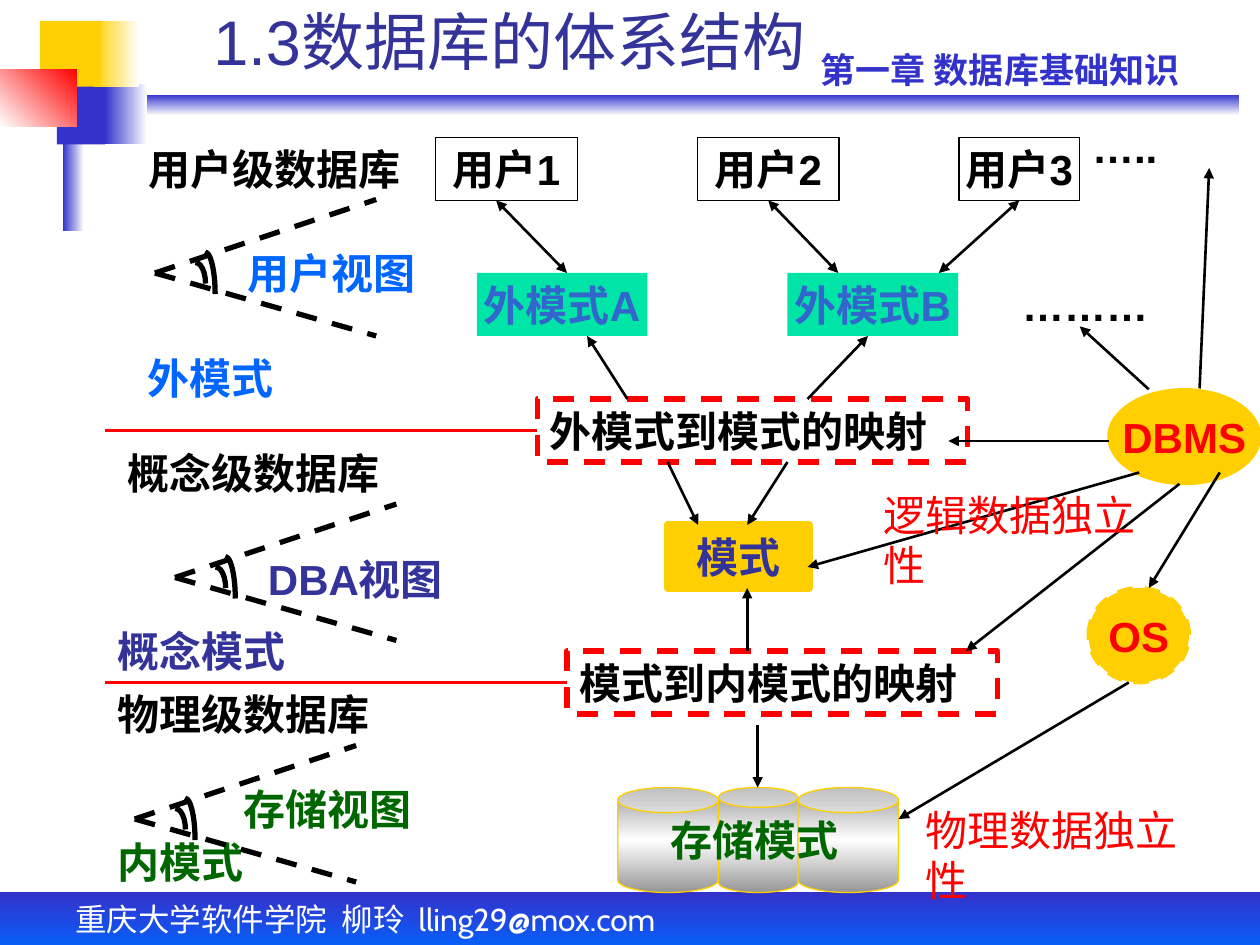
"""Build the slide on the layered architecture of a database system."""
from lxml.etree import SubElement
from pptx import Presentation
from pptx.dml.color import RGBColor as RGB
from pptx.enum.dml import MSO_LINE_DASH_STYLE as DASH
from pptx.enum.shapes import MSO_CONNECTOR as CON, MSO_SHAPE as SHAPE
from pptx.enum.text import MSO_ANCHOR as ANCHOR, PP_ALIGN as ALIGN
from pptx.oxml.ns import qn
from pptx.util import Pt

BLACK = RGB(0, 0, 0)
WHITE = RGB(255, 255, 255)
RED = RGB(255, 0, 0)
GOLD = RGB(0xFF, 0xCF, 0x01)
BLUE = RGB(0x33, 0x33, 0xCC)
NAVY = RGB(0x33, 0x33, 0x99)
SKY = RGB(0, 0x66, 0xFF)
STEEL = RGB(0x33, 0x66, 0xCC)
MINT = RGB(0, 0xE4, 0xA8)
GREEN = RGB(0, 0x66, 0)
GRAY = RGB(0x96, 0x96, 0x96)

BOLD = {"name": "Arial", "size": Pt(24), "bold": True}
LIGHT = {"name": "Cabin", "size": Pt(24), "bold": False}


class Board:
    def __init__(self, deck):
        self.area = deck.slides.add_slide(deck.slide_layouts[6]).shapes

    def stroke(self, line, ink, width, dash=False):
        line.color.rgb = ink
        line.width = Pt(width)
        if dash:
            line.dash_style = DASH.DASH

    def blend(self, shape, inks, angle):
        shape.fill.gradient()
        shape.fill.gradient_angle = -angle % 360
        stops = shape._element.spPr.find(qn("a:gradFill")).find(qn("a:gsLst"))
        for stop in list(stops):
            stops.remove(stop)
        for i, ink in enumerate(inks):
            stop = SubElement(stops, qn("a:gs"), pos=str(i * 100000 // (len(inks) - 1)))
            SubElement(stop, qn("a:srgbClr"), val=str(ink))

    def shape(self, kind, place, fill=None, line=None, angle=90):
        shape = self.area.add_shape(kind, *map(Pt, place))
        shape.shadow.inherit = False
        if isinstance(fill, list):
            self.blend(shape, fill, angle)
        elif fill is None:
            shape.fill.background()
        else:
            shape.fill.solid()
            shape.fill.fore_color.rgb = fill
        if line:
            self.stroke(shape.line, *line)
        else:
            shape.line.fill.background()
        return shape

    def label(self, shape, text, ink, style=BOLD, align=ALIGN.LEFT,
              anchor=ANCHOR.TOP, wrap=True):
        frame = shape.text_frame
        frame.word_wrap = wrap
        frame.vertical_anchor = anchor
        part = frame.paragraphs[0]
        part.alignment = align
        run = part.add_run()
        run.text = text
        for key, value in style.items():
            setattr(run.font, key, value)
        run.font.color.rgb = ink

    def text(self, place, text, ink, style=BOLD, **look):
        self.label(self.area.add_textbox(*map(Pt, place)), text, ink, style, **look)

    def node(self, kind, place, text, ink, fill=None, line=None):
        shape = self.shape(kind, place, fill, line)
        self.label(shape, text, ink, align=ALIGN.CENTER, anchor=ANCHOR.MIDDLE, wrap=False)
        return shape

    def link(self, start, end, pen=(BLACK, 1.5), heads=("tailEnd",), join=None):
        link = self.area.add_connector(CON.STRAIGHT, *map(Pt, (*start, *end)))
        self.stroke(link.line, *pen)
        if join:
            link.begin_connect(*join)
        props = link._element.spPr
        for head in heads:
            SubElement(props.find(qn("a:ln")), qn("a:" + head), type="triangle")
        SubElement(props, qn("a:effectLst"))

    def wedge(self, x, y):
        home = self.area
        self.area = home.add_group_shape().shapes
        for rise in (-42, 36):
            self.link((x, y), (x + 126.5, y + rise), (BLACK, 3, True), ())
        for dx, dy, high in ((17.5, -6, 24), (23, -12, 48)):
            self.shape(SHAPE.ARC, (x + dx, y + dy, 11.5, high), line=(BLACK, 3))
        self.area = home


def frame(board):
    for place, fill, angle in (
        ((42, 54, 666, 12), [BLUE, WHITE], 90),
        ((60, 48, 24, 34.5), [WHITE, BLUE], 180),
        ((0, 510, 720, 36), [BLUE, SKY], 90),
        ((36, 42, 12, 90), [WHITE, BLUE], 180),
        ((32.5, 48, 27.5, 34.5), BLUE, 0),
        ((53.5, 12, 26, 37.5), [WHITE, GOLD], 180),
        ((23, 12, 34.5, 37.5), GOLD, 0),
        ((0, 39.5, 44, 33), [RED, WHITE], 135),
    ):
        board.shape(SHAPE.RECTANGLE, place, fill, angle=angle)
    board.text((36, 511, 528, 33), "重庆大学软件学院  柳玲  lling29@mox.com", WHITE,
               {**LIGHT, "size": Pt(18)})
    board.text((462, 24, 246, 31.5), "第一章 数据库基础知识", BLUE,
               {**LIGHT, "size": Pt(20), "bold": True})
    board.text((66, 18, 450, 30), "1.3数据库的体系结构", NAVY,
               {"name": "Arial", "size": Pt(36)}, align=ALIGN.CENTER, anchor=ANCHOR.BOTTOM)


def levels(board):
    for x, y, wide, text, ink in (
        (78, 78.5, 172, "用户级数据库", BLACK),
        (134.5, 138, 120, "用户视图", SKY),
        (77, 198, 97, "外模式", SKY),
        (65.5, 252, 178, "概念级数据库", BLACK),
        (146, 312.5, 120, "DBA视图", NAVY),
        (60, 354, 120, "概念模式", NAVY),
        (60, 390, 178, "物理级数据库", BLACK),
        (60, 474.5, 120, "内模式", GREEN),
        (132, 444, 195, "存储视图", GREEN),
        (577, 156, 98, "………", BLACK),
    ):
        board.text((x, y, wide, 36), text, ink)
    for apex in ((88.5, 156), (100, 330), (77, 468)):
        board.wedge(*apex)
    for x, y, wide, text, ink, style in (
        (617, 66, 52, "…..", BLACK, BOLD),
        (522, 456, 182, "物理数据独立性", RED, LIGHT),
        (498, 276, 182, "逻辑数据独立性", RED, LIGHT),
    ):
        board.text((x, y, wide, 36), text, ink, style, wrap=False)


def schema(board):
    rect = SHAPE.RECTANGLE
    users = [board.node(rect, (x, 78.5, wide, 36), f"用户{i}", BLACK, line=(BLACK, 0.75))
             for i, (x, wide) in enumerate(((249, 81), (398.5, 81), (548, 69)), 1)]
    for x, name in ((272.5, "A"), (450, "B")):
        board.node(rect, (x, 156, 97.5, 36), "外模式" + name, STEEL, MINT)
    for x, y, text in ((307, 228, "外模式到模式的映射"), (324, 372, "模式到内模式的映射")):
        bridge = board.shape(rect, (x, y, 246, 36), line=(RED, 3, True))
        board.label(bridge, text, BLACK)
        board.link((x, y + 18), (60, y + 18), (RED, 2.25), (), (bridge, 1))
    board.node(rect, (381.5, 300, 81, 36), "模式", NAVY, GOLD, (GOLD, 4.5))
    for x, wide in ((353, 57.5), (410.5, 45.5), (456, 57.5)):
        board.shape(SHAPE.CAN, (x, 450, wide, 60), [GRAY, WHITE, GRAY], (GOLD, 0.75))
    board.text((376, 462, 120, 36), "存储模式", GREEN)
    board.node(SHAPE.OVAL, (633.5, 222.5, 86.5, 54), "DBMS", RED, GOLD, (GOLD, 1.5))
    board.node(SHAPE.OVAL, (622, 336, 57.5, 54), "OS", RED, GOLD, (GOLD, 2.25, True))
    return users


def arrows(board, users):
    for start, end in (
        ((433, 414), (433, 450)),
        ((427, 372), (427, 336)),
        ((381.5, 264), (399, 300)),
        ((450, 264), (427, 300)),
        ((358.5, 228), (335.5, 192)),
        ((461.5, 228), (496, 192)),
        ((685.5, 222), (691, 96)),
        ((656.5, 222.5), (617, 186.5)),
        ((633.5, 252), (542, 252)),
        ((651, 270), (461.5, 324)),
        ((674, 276.5), (552, 372)),
        ((697, 270), (656.5, 336)),
        ((645, 390), (513.5, 468)),
    ):
        board.link(start, end)
    for start, end, join in (
        ((283.5, 114.5), (324, 156), None),
        ((439, 114.5), (479, 156), (users[1], 2)),
        ((582.5, 114.5), (536.5, 156), (users[2], 2)),
    ):
        board.link(start, end, heads=("headEnd", "tailEnd"), join=join)


def main():
    deck = Presentation()
    deck.slide_width, deck.slide_height = Pt(720), Pt(540)
    board = Board(deck)
    frame(board)
    users = schema(board)
    arrows(board, users)
    levels(board)
    deck.save("out.pptx")


if __name__ == "__main__":
    main()
